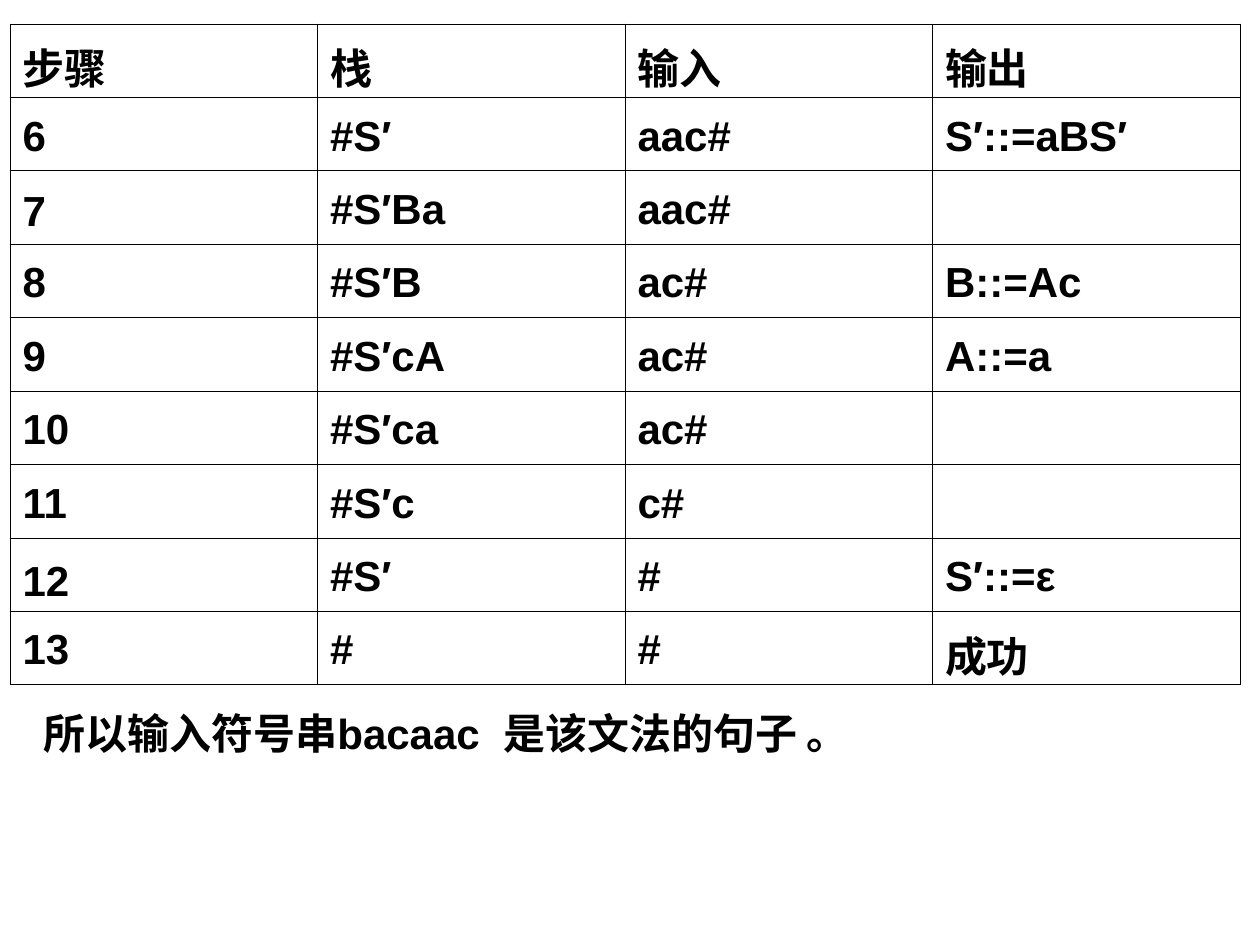
from dataclasses import dataclass

from lxml.etree import SubElement
from pptx import Presentation
from pptx.dml.color import RGBColor
from pptx.enum.text import MSO_ANCHOR, MSO_AUTO_SIZE
from pptx.oxml.ns import qn
from pptx.util import Emu, Pt

PX_PER_INCH = 126
FONT = "Arial"
BLACK = RGBColor(0, 0, 0)
BORDER_WIDTH = Pt(0.45)


@dataclass(frozen=True)
class Box:
    left: int
    top: int
    width: int
    height: int


TABLE_BOX = Box(10, 24, 1230, 661)
CONCLUSION_BOX = Box(31, 701, 987, 63)

PARSE_STEPS = [
    ("步骤", "栈", "输入", "输出"),
    ("6", "#S′", "aac#", "S′::=aBS′"),
    ("7", "#S′Ba", "aac#", ""),
    ("8", "#S′B", "ac#", "B::=Ac"),
    ("9", "#S′cA", "ac#", "A::=a"),
    ("10", "#S′ca", "ac#", ""),
    ("11", "#S′c", "c#", ""),
    ("12", "#S′", "#", "S′::=ε"),
    ("13", "#", "#", "成功"),
]
# Step cells that are not anchored at the top
STEP_ANCHORS = {"7": MSO_ANCHOR.MIDDLE, "12": MSO_ANCHOR.BOTTOM}
# Chinese lines are taller and fill the whole row
CHINESE_TEXTS = {*PARSE_STEPS[0], "成功"}


def px(length: int) -> Emu:
    return Emu(round(length * 914400 / PX_PER_INCH))


def place(box: Box) -> tuple:
    return px(box.left), px(box.top), px(box.width), px(box.height)


def style_paragraph(paragraph) -> None:
    font = paragraph.font
    font.name, font.size, font.bold = FONT, Pt(24), True
    font.color.rgb = BLACK


def add_borders(cell) -> None:
    properties = cell._tc.get_or_add_tcPr()
    for side in ("lnL", "lnR", "lnT", "lnB"):
        line = SubElement(properties, qn(f"a:{side}"), w=str(BORDER_WIDTH))
        fill = SubElement(line, qn("a:solidFill"))
        SubElement(fill, qn("a:srgbClr"), val=str(BLACK))


def fill_cell(cell, text: str) -> None:
    add_borders(cell)
    cell.fill.background()
    cell.vertical_anchor = STEP_ANCHORS.get(text, MSO_ANCHOR.TOP)
    if text in CHINESE_TEXTS:
        cell.margin_top = cell.margin_bottom = 0
    paragraph = cell.text_frame.paragraphs[0]
    paragraph.line_spacing = 1.2
    style_paragraph(paragraph)
    if text:
        paragraph.add_run().text = text


def add_parse_table(slide) -> None:
    row_count, column_count = len(PARSE_STEPS), len(PARSE_STEPS[0])
    table = slide.shapes.add_table(row_count, column_count, *place(TABLE_BOX)).table
    table.first_row = table.horz_banding = False
    for row, texts in zip(table.rows, PARSE_STEPS):
        for cell, text in zip(row.cells, texts):
            fill_cell(cell, text)


def add_conclusion(slide) -> None:
    frame = slide.shapes.add_textbox(*place(CONCLUSION_BOX)).text_frame
    frame.word_wrap = True
    frame.auto_size = MSO_AUTO_SIZE.SHAPE_TO_FIT_TEXT
    paragraph = frame.paragraphs[0]
    style_paragraph(paragraph)
    for text in ("所以输入符号串bacaac", " ", "是该文法的句子 。"):
        run = paragraph.add_run()
        run.text = text
        if text == " ":
            # Widen the gap after the symbol string
            run._r.get_or_add_rPr().set("spc", "670")


def main() -> None:
    presentation = Presentation()
    presentation.slide_width, presentation.slide_height = px(1260), px(945)
    slide = presentation.slides.add_slide(presentation.slide_layouts[6])
    # Parsing steps, then the conclusion below them
    add_parse_table(slide)
    add_conclusion(slide)
    presentation.save("out.pptx")


if __name__ == "__main__":
    main()
